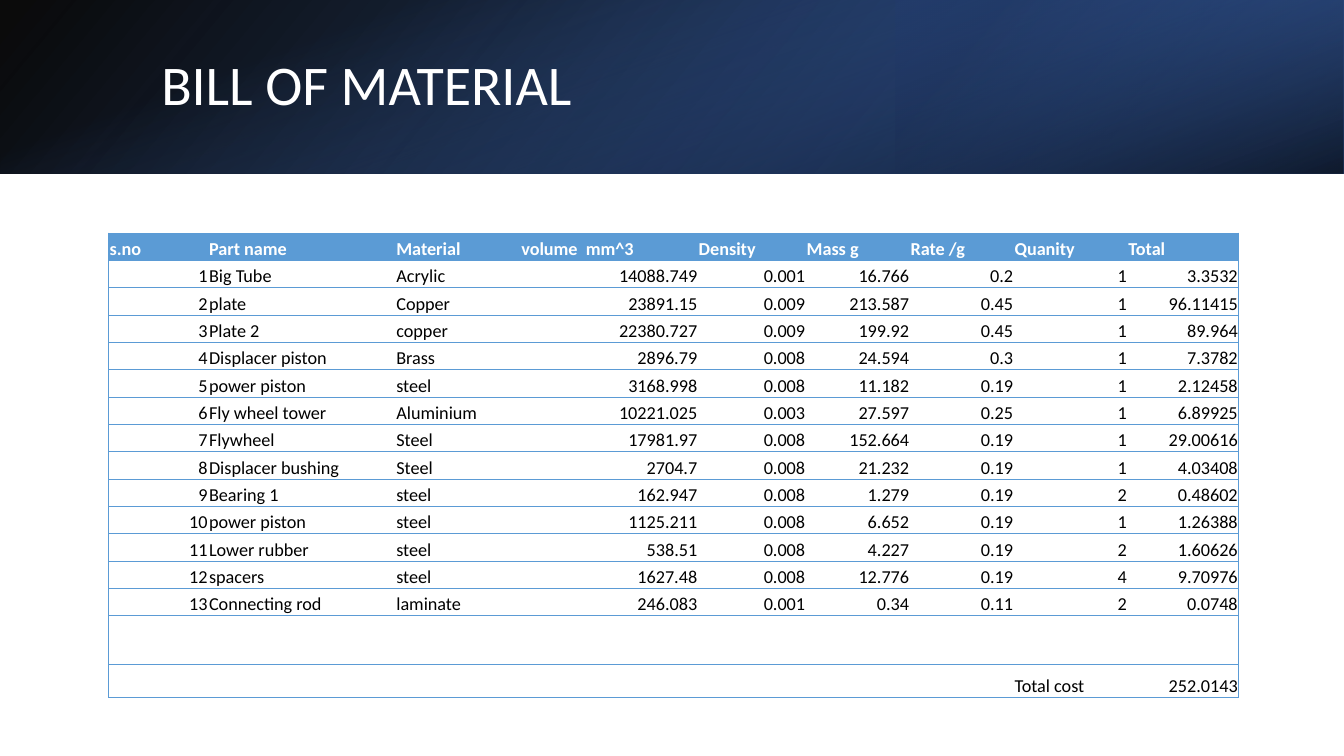
from dataclasses import dataclass
from lxml import etree
from pptx import Presentation
from pptx import util as u
from pptx.dml import color
from pptx.enum import shapes, text
from pptx.oxml import ns


@dataclass(frozen=True)
class Theme:
    """Colours, font and type sizes of the slide."""
    font: str = "Calibri"
    white: str = "FFFFFF"
    black: str = "000000"
    line: str = "5B9BD5"
    deep: str = "2F5597"
    navy: str = "203864"
    blue: str = "4472C4"
    head: int = 40
    cell: int = 13


THEME = Theme()
WIDE, HIGH, BAND = 33.87, 19.05, 4.37
COLS = [2.51, 4.72, 3.15, 4.47, 2.72, 2.62, 2.62, 2.87, 2.79]
ROW, GAP, LAST = 0.69, 1.23, 0.83
HEADS = ["s.no", "Part name", "Material", "volume  mm^3", "Density",
         "Mass g", "Rate /g", "Quanity", "Total"]
PARTS = [
    ["Big Tube", "Acrylic", "14088.749", "0.001", "16.766", "0.2", "1", "3.3532"],
    ["plate", "Copper", "23891.15", "0.009", "213.587", "0.45", "1", "96.11415"],
    ["Plate 2", "copper", "22380.727", "0.009", "199.92", "0.45", "1", "89.964"],
    ["Displacer piston", "Brass", "2896.79", "0.008", "24.594", "0.3", "1", "7.3782"],
    ["power piston", "steel", "3168.998", "0.008", "11.182", "0.19", "1", "2.12458"],
    ["Fly wheel tower", "Aluminium", "10221.025", "0.003", "27.597", "0.25", "1", "6.89925"],
    ["Flywheel", "Steel", "17981.97", "0.008", "152.664", "0.19", "1", "29.00616"],
    ["Displacer bushing", "Steel", "2704.7", "0.008", "21.232", "0.19", "1", "4.03408"],
    ["Bearing 1", "steel", "162.947", "0.008", "1.279", "0.19", "2", "0.48602"],
    ["power piston", "steel", "1125.211", "0.008", "6.652", "0.19", "1", "1.26388"],
    ["Lower rubber", "steel", "538.51", "0.008", "4.227", "0.19", "2", "1.60626"],
    ["spacers", "steel", "1627.48", "0.008", "12.776", "0.19", "4", "9.70976"],
    ["Connecting rod", "laminate", "246.083", "0.001", "0.34", "0.11", "2", "0.0748"],
]
TOTAL = [""] * 7 + ["Total cost", "252.0143"]


def rgb(code):
    """Turn a hex code into a colour."""
    return color.RGBColor.from_string(code)


def add_run(para, words, size, tint, bold=False):
    """Add one styled run to a paragraph."""
    run = para.add_run()
    run.text = words
    run.font.name, run.font.size, run.font.bold = THEME.font, u.Pt(size), bold
    run.font.color.rgb = rgb(tint)


def add_fade(slide, box, stops, angle, turn=0, flip=False):
    """Fill the box with a see-through gradient, on a shape turned by quarters."""
    left, top, width, height = box
    if turn == 90:
        left, top = left + (width - height) / 2, top + (height - width) / 2
        width, height = height, width
    rect = slide.shapes.add_shape(shapes.MSO_SHAPE.RECTANGLE,
                                  *map(u.Cm, (left, top, width, height)))
    rect.shadow.inherit = False
    rect.line.fill.background()
    rect.rotation = turn
    if flip:
        rect._element.spPr.find(ns.qn("a:xfrm")).set("flipH", "1")
    rect.fill.gradient()
    rect.fill.gradient_angle = 360 - angle
    for stop, (place, tint, _) in zip(rect.fill.gradient_stops, stops):
        stop.position, stop.color.rgb = place / 100, rgb(tint)
    tints = rect._element.spPr.iter(ns.qn("a:srgbClr"))
    for tint, (_, _, clear) in zip(tints, stops):
        etree.SubElement(tint, ns.qn("a:alpha")).set("val", str(clear * 1000))


def add_band(slide, box):
    """Layer three gradients in the box and set the title over them."""
    left, top, width, height = box
    add_fade(slide, box, [(0, THEME.black, 96), (100, THEME.deep, 100)], 140, flip=True)
    side = (left + width * 2 / 3, top, width / 3, height)
    add_fade(slide, side, [(19, THEME.navy, 68), (100, THEME.blue, 79)], 320, 180, True)
    add_fade(slide, box, [(23, THEME.blue, 0), (99, THEME.black, 74)], 340, 90)
    title = slide.shapes.title
    title.left, title.top = u.Cm(left + 3.81), u.Cm(top + 0.97)
    title.width, title.height = u.Cm(27.89), u.Cm(2.44)
    slide.shapes._spTree.append(title._element)
    frame = title.text_frame
    frame.auto_size = text.MSO_AUTO_SIZE.NONE
    frame.vertical_anchor = text.MSO_ANCHOR.MIDDLE
    para = frame.paragraphs[0]
    para.alignment, para.line_spacing = text.PP_ALIGN.LEFT, 0.9
    add_run(para, "BILL OF MATERIAL", THEME.head, THEME.white)


def add_edges(cell, sides):
    """Draw thin lines on the given sides of a cell."""
    props = cell._tc.get_or_add_tcPr()
    for side in sides:
        line = etree.SubElement(props, ns.qn("a:ln" + side), w=str(u.Pt(0.5)))
        fill = etree.SubElement(line, ns.qn("a:solidFill"))
        etree.SubElement(fill, ns.qn("a:srgbClr"), val=THEME.line)


def fill_cell(cell, words, sides, head):
    """Format one table cell and write its words."""
    cell.margin_left = cell.margin_right = cell.margin_top = u.Cm(0.02)
    cell.margin_bottom = u.Cm(0)
    cell.vertical_anchor = text.MSO_ANCHOR.BOTTOM
    add_edges(cell, sides)
    if head:
        cell.fill.solid()
        cell.fill.fore_color.rgb = rgb(THEME.line)
    else:
        cell.fill.background()
    if words:
        para = cell.text_frame.paragraphs[0]
        digit = words[0].isdigit()
        para.alignment = text.PP_ALIGN.RIGHT if digit else text.PP_ALIGN.LEFT
        add_run(para, words, THEME.cell, THEME.white if head else THEME.black, head)


def add_bill(slide, left, top):
    """Place the table of parts and costs."""
    parts = [[str(num)] + part for num, part in enumerate(PARTS, 1)]
    rows = [HEADS] + parts + [[""] * len(COLS), TOTAL]
    highs = [ROW] * (len(rows) - 2) + [GAP, LAST]
    frame = slide.shapes.add_table(len(rows), len(COLS), *map(
        u.Cm, (left, top, sum(COLS), sum(highs))))
    table = frame.table
    table.first_row = table.horz_banding = False
    style = table._tbl.tblPr.find(ns.qn("a:tableStyleId"))
    style.text = "{2D5ABB26-0587-4C30-8999-92F81FD0307C}"
    for col, width in zip(table.columns, COLS):
        col.width = u.Cm(width)
    for row, high in zip(table.rows, highs):
        row.height = u.Cm(high)
    for r, row in enumerate(rows):
        for c, words in enumerate(row):
            sides = ["L"] * (c == 0) + ["R"] * (c == len(COLS) - 1) + ["T", "B"]
            fill_cell(table.cell(r, c), words, sides, r == 0)


def main():
    """Build the slide and save it."""
    deck = Presentation()
    deck.slide_width, deck.slide_height = u.Cm(WIDE), u.Cm(HIGH)
    slide = deck.slides.add_slide(deck.slide_layouts[5])
    add_band(slide, (0, 0, WIDE, BAND))
    add_bill(slide, 2.74, 5.87)
    deck.save("out.pptx")


if __name__ == "__main__":
    main()
